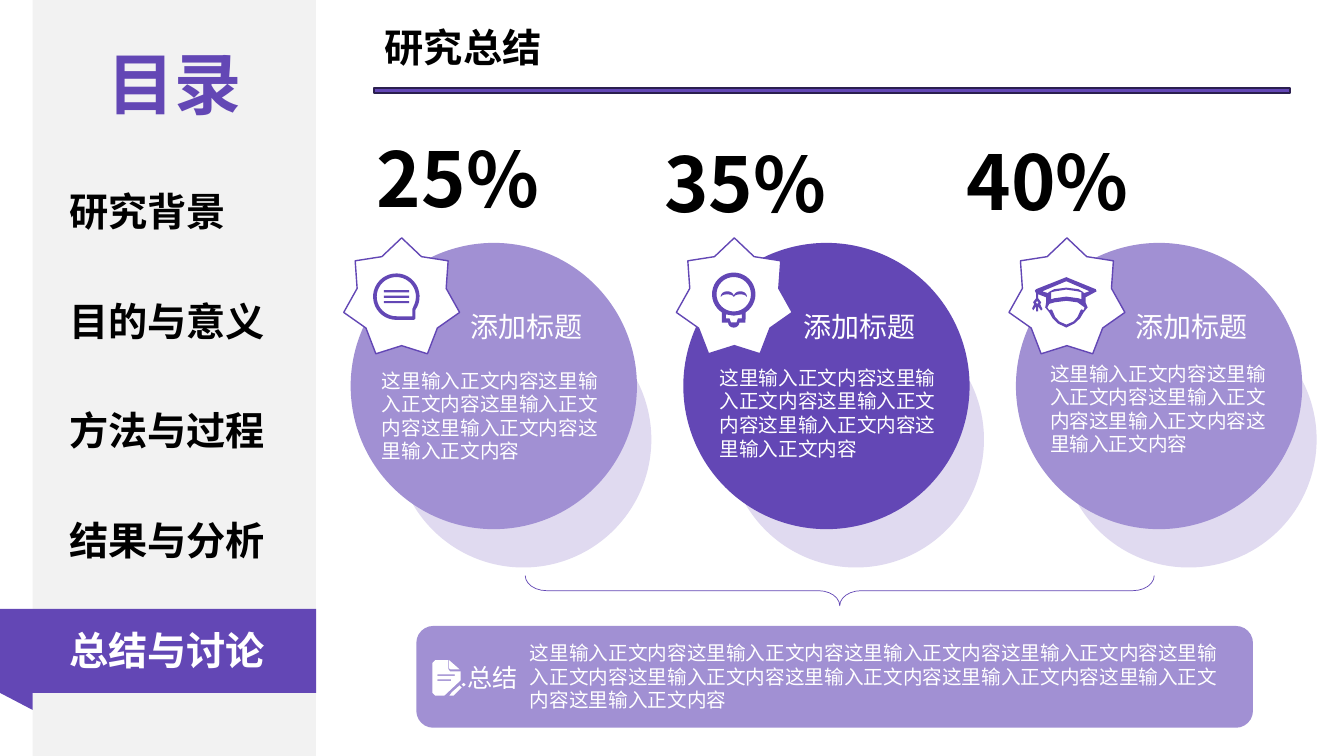
from dataclasses import dataclass
from math import cos, radians, sin

from lxml import etree
from pptx import Presentation
from pptx.dml.color import RGBColor
from pptx.enum import shapes, text
from pptx.oxml.ns import qn
from pptx.util import Pt

MSO = shapes.MSO_SHAPE
ALIGN = text.PP_ALIGN


@dataclass(frozen=True)
class Theme:
    font: str = "Noto Sans CJK SC"
    purple: str = "6347B5"
    lilac: str = "A190D3"
    pale: str = "E0DAF0"
    edge: str = "2B1F4F"
    grey: str = "F2F2F2"
    white: str = "FFFFFF"
    black: str = "000000"
    figure: int = 54
    contents: int = 48
    heading: int = 28
    title: int = 20
    label: int = 18
    body: int = 14


class Page:
    def __init__(self, slide, theme):
        self.s = slide
        self.t = theme

    def paint(self, sp, fill=None, line=None, weight=1):
        sp.shadow.inherit = False
        if fill:
            sp.fill.solid()
            sp.fill.fore_color.rgb = RGBColor.from_string(fill)
        else:
            sp.fill.background()
        if line:
            sp.line.color.rgb = RGBColor.from_string(line)
            sp.line.width = Pt(weight)
        else:
            sp.line.fill.background()

    def shape(self, kind, x, y, w, h, fill=None, line=None, weight=1, rotation=0, adjust=()):
        sp = self.s.shapes.add_shape(kind, Pt(x), Pt(y), Pt(w), Pt(h))
        sp.rotation = rotation
        for i, value in enumerate(adjust):
            sp.adjustments[i] = value
        self.paint(sp, fill, line, weight)

    def text(self, words, x, y, w, h, size, color, bold=False, align=ALIGN.LEFT, wrap=True):
        tf = self.s.shapes.add_textbox(Pt(x), Pt(y), Pt(w), Pt(h)).text_frame
        tf.word_wrap = wrap
        if not wrap:
            tf.auto_size = text.MSO_AUTO_SIZE.SHAPE_TO_FIT_TEXT
        p = tf.paragraphs[0]
        p.text = words
        p.alignment = align
        p.font.size = Pt(size)
        p.font.bold = bold
        p.font.color.rgb = RGBColor.from_string(color)
        p.font.name = self.t.font
        props = p._p.pPr.find(qn("a:defRPr"))
        etree.SubElement(props, qn("a:ea"), typeface=self.t.font)

    def icon(self, contours, x, y, fill):
        outlines = [[(Pt(x + a), Pt(y + b)) for a, b in c] for c in contours]
        fb = self.s.shapes.build_freeform(*outlines[0][0], scale=1.0)
        for i, outline in enumerate(outlines):
            if i:
                fb.move_to(*outline[0])
            fb.add_line_segments(outline[1:], close=True)
        self.paint(fb.convert_to_shape(), fill)


def arc(cx, cy, rx, ry, start, end, steps=32):
    angles = [radians(start + (end - start) * i / steps) for i in range(steps + 1)]
    return [(cx + rx * cos(a), cy + ry * sin(a)) for a in angles]


def bar(x, y, w, h):
    return [(x, y), (x + w, y), (x + w, y + h), (x, y + h)]


CHAT = [
    arc(37.6, 42, 16.6, 16.6, 90, 395) + [(51.3, 57.5), (50.3, 58.6)],
    arc(37.6, 42, 14, 14, 90, 380) + [(49, 51), (49, 56)],
    *[bar(28.8, 37.4 + 3.9 * i, 18, 1.5) for i in range(3)],
]
BULB = [
    arc(41, 40.3, 15.5, 15.5, 123, 417)
    + [(49.4, 60.5), (45, 60.5)]
    + arc(41, 60.5, 4, 3.6, 0, 180)
    + [(32.6, 60.5)],
    arc(41, 40.3, 12.3, 12.3, 0, 360),
    [(35.3, 54.7), (35.3, 57.6), (38, 57.6), (39, 60.4), (43, 60.4),
     (44, 57.6), (46.8, 57.6), (46.8, 54.7), (41, 55.6)],
    arc(36.4, 42, 4.7, 3.8, 180, 360)
    + arc(45.7, 42, 4.7, 3.8, 180, 360)
    + arc(45.7, 42, 4.2, 1.6, 360, 180)
    + arc(36.4, 42, 4.2, 1.6, 360, 180),
]
GRADUATE = [
    [(19.4, 36.7), (41, 28.1), (62, 36.7), (62.6, 38.2), (54.7, 42.5), (54.7, 46.1),
     (56.2, 49.7), (53.3, 53.3), (50.8, 57.5), (46.8, 61.2), (41, 64.1), (34.9, 61.2),
     (31.2, 57.5), (28.8, 53.3), (25.9, 49.7), (26.6, 46.1), (26.6, 42.5), (20.9, 40.3),
     (20.9, 43.2), (23, 46.1), (22.3, 47.5), (24, 51), (23, 52), (20.9, 49),
     (20.9, 52.6), (19.4, 52.6), (19.4, 49), (17.3, 51.8), (16.6, 50.4), (18, 47.5),
     (17.3, 46), (19.4, 43.2), (19.4, 39.6), (18.5, 37.8)],
    [(41, 31), (57.6, 38.2), (53.3, 39.6), (53.3, 38.9), (49.7, 36.7), (41, 35.6),
     (32.4, 36.7), (28.1, 38.9), (28.1, 39.6), (23.8, 38.2)],
    [(30.2, 38.9), (33.1, 38.2), (41, 37), (49, 38.2), (51.8, 38.9), (51.8, 43.9),
     (49.7, 43.2), (41, 42), (32.4, 43.2), (30.2, 43.9)],
    [(32.4, 46.1), (41, 45), (49, 46.1), (54, 49.7), (53.3, 51.8), (51.8, 51.1),
     (51.1, 51.8), (49, 56.5), (46.1, 59.8), (41, 62), (36, 59.8), (33, 56.5),
     (31, 51.8), (30.2, 51.1), (28.8, 51.8), (27.4, 49.7), (28.8, 47.2)],
    arc(20.2, 46.2, 0.8, 0.8, 0, 360),
]
NOTE = [
    [(2, 0), (11.5, 0), (11.5, 6.5), (12.6, 8), (20.1, 8), (20.1, 14.4),
     (8.6, 25.2), (2, 25.2), (0, 23.2), (0, 2)],
    bar(3.6, 10.1, 12.5, 1),
    bar(3.6, 13.7, 9.7, 1),
    [(12, 0), (19.4, 6.5), (12.9, 6.5), (12, 5.8)],
    [(13.7, 23), (19.4, 18), (20.9, 19.4), (15.1, 25.2), (12.2, 25.2)],
    [(22.3, 16.2), (23.8, 17.6), (22.3, 18.7), (20.9, 17.3)],
]
BODY = "这里输入正文内容"
SECTIONS = ["研究背景", "目的与意义", "方法与过程", "结果与分析", "总结与讨论"]


def main():
    prs = Presentation()
    prs.slide_width, prs.slide_height = Pt(960), Pt(540)
    t = Theme()
    page = Page(prs.slides.add_slide(prs.slide_layouts[6]), t)

    page.shape(MSO.RECTANGLE, 23.3, 0, 202.4, 540, t.grey)
    page.shape(MSO.RECTANGLE, 0, 434.9, 225.8, 60, t.purple)
    page.shape(MSO.RIGHT_TRIANGLE, 0, 494.9, 23.3, 12.2, t.purple, rotation=180)
    page.text("目录", 54.7, 26.6, 139.7, 65.5, t.contents, t.purple, True, ALIGN.CENTER)
    for i, section in enumerate(SECTIONS):
        color = t.white if section == SECTIONS[-1] else t.black
        page.text(section, 42.5, 130.3 + 78.3 * i, 159.1, 41, t.heading, color, True)

    page.shape(MSO.RECTANGLE, 267.1, 62.8, 654.5, 3.6, t.purple, t.edge)
    page.text("研究总结", 267.8, 13, 355, 41, t.heading, t.black, True)

    columns = [
        ("25%", (262.1, 90.7), t.lilac, (265.7, 259.9), CHAT),
        ("35%", (467.3, 94.3), t.purple, (506.9, 257.8), BULB),
        ("40%", (683.3, 92.9), t.lilac, (743, 254.9), GRADUATE),
    ]
    for i, (share, share_at, disc, body_at, icon) in enumerate(columns):
        x = 245.5 + 237.6 * i
        page.shape(MSO.OVAL, x + 36.9, 222.5, 182.9, 182.9, t.pale)
        page.shape(MSO.OVAL, x + 5, 173.5, 204.5, 204.5, disc)
        page.shape(MSO.STAR_7_POINT, x, 169.9, 82.8, 82.8, t.white, t.purple, adjust=[0.384])
        page.icon(icon, x, 169.9, t.purple)
        page.text("添加标题", x + 83.5, 217.4, 103.7, 31.7, t.title, t.white, align=ALIGN.JUSTIFY)
        page.text(BODY * 5, *body_at, 171.4, 90.7, t.body, t.white)
        page.text(share, *share_at, 132.5, 72.7, t.figure, t.black, True, wrap=False)

    page.shape(MSO.RIGHT_BRACE, 589, 197.3, 21.6, 449.3, line=t.purple, weight=0.5,
               rotation=90, adjust=[0.707, 0.5])
    page.shape(MSO.ROUNDED_RECTANGLE, 297.4, 447.1, 597.6, 72.7, t.lilac)
    page.text(BODY * 10, 371.5, 454.3, 516.2, 58.3, t.body, t.white)
    page.text("总结", 326.9, 469.4, 55.4, 30.2, t.label, t.white)
    page.icon(NOTE, 308.9, 471.6, t.white)
    prs.save("out.pptx")


if __name__ == "__main__":
    main()
